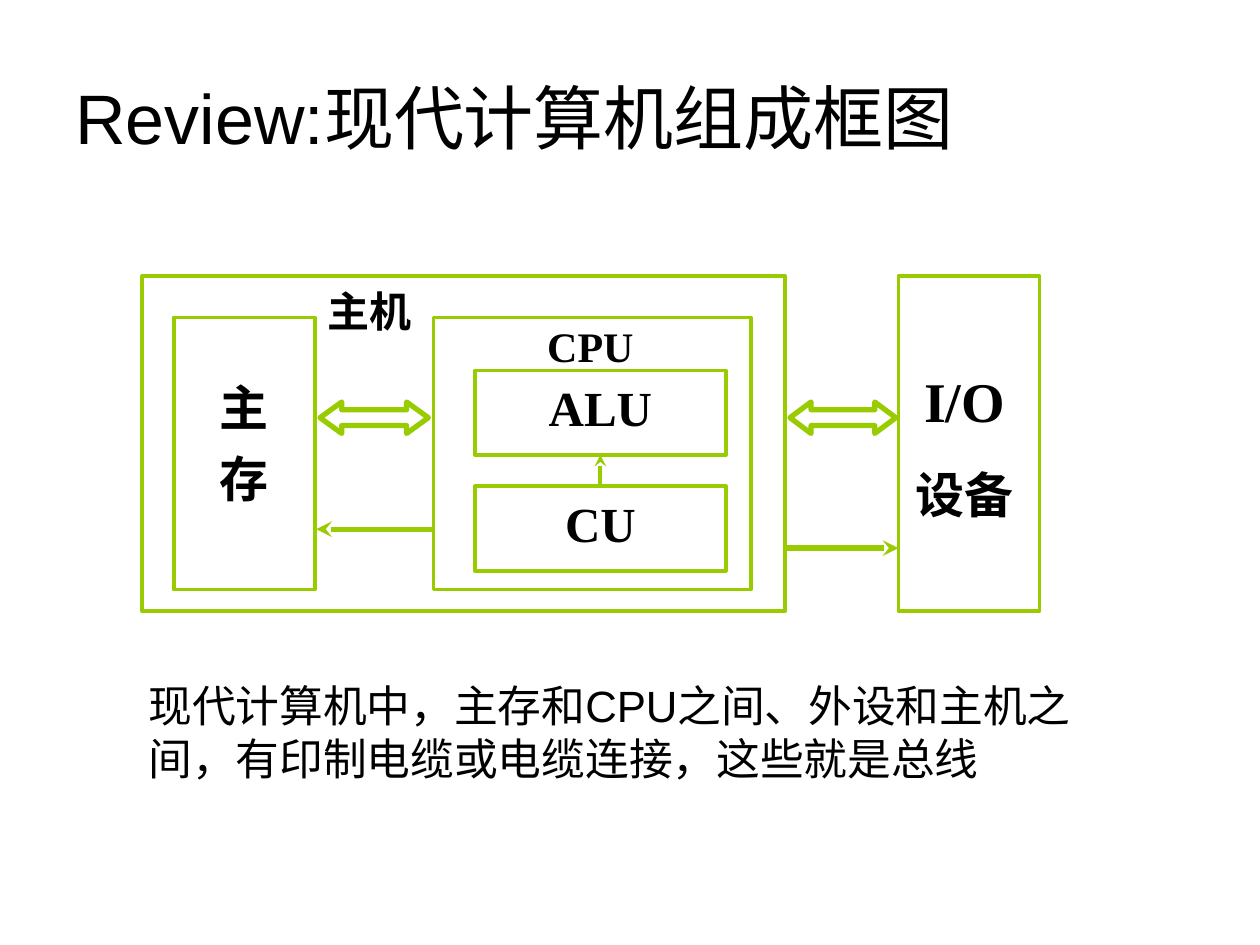
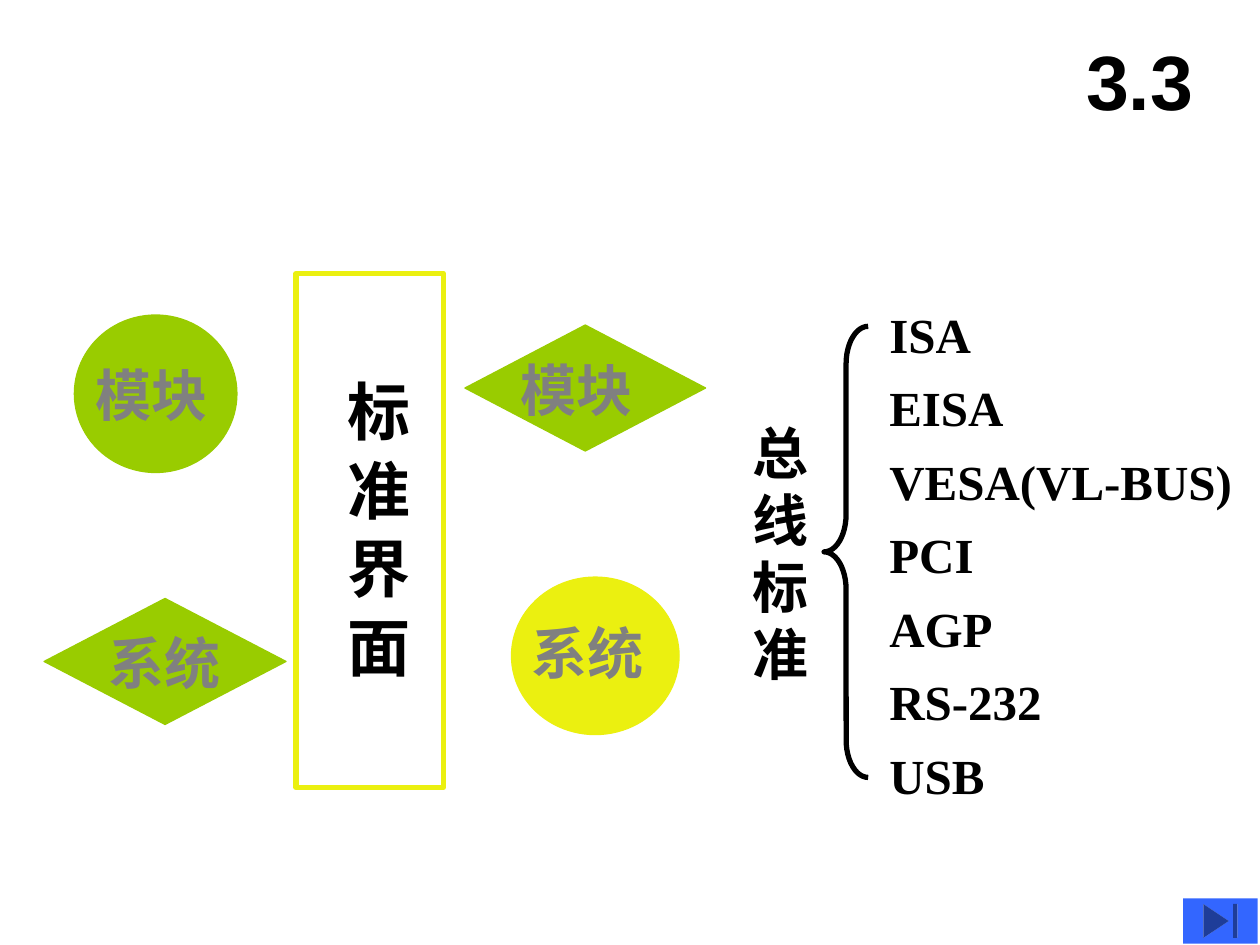
from dataclasses import dataclass

from lxml import etree
from pptx import Presentation
from pptx import util as u
from pptx.dml.color import RGBColor
from pptx.enum import shapes, text
from pptx.oxml.ns import qn

PX = u.Inches(1) // 100
COLOURS = {"ink": "000000", "green": "99CC00", "yellow": "EBF010", "grey": "808080", "blue": "3366FF"}
SANS, SERIF, HAN = "Arial", "Times New Roman", "Noto Sans CJK SC"
SHAPE = shapes.MSO_SHAPE
CENTER = text.PP_ALIGN.CENTER
LEFT = text.PP_ALIGN.LEFT
STANDARD_INSET = (10, 5, 10, 5)
BLOCK_INSET = (10, 6, 10, 5)
NO_INSET = (0, 0, 0, 0)
TOP, BOTTOM = 0, 2

Area = tuple[int, int, int, int]


@dataclass(frozen=True)
class Label:
    area: Area
    lines: tuple[str, ...]
    sizes: tuple[float, ...]
    font: str = SERIF
    colour: str = "ink"
    bold: bool = True
    align: text.PP_ALIGN = LEFT
    inset: Area = STANDARD_INSET
    wrap: bool = True
    middle: bool = False
    gap: float = 0
    spacing: float = 1.0
    vertical: bool = False


@dataclass(frozen=True)
class Figure:
    kind: SHAPE
    area: Area
    line: str | None = "green"
    weight: float = 2.13
    fill: str | None = None
    adjustments: tuple[float, ...] = ()


@dataclass(frozen=True)
class Arrow:
    start: tuple[int, int]
    end: tuple[int, int]
    weight: float = 3


def colour_of(name: str) -> RGBColor:
    return RGBColor.from_string(COLOURS[name])


def scaled(lengths: tuple[int, ...]) -> list[int]:
    return [length * PX for length in lengths]


def draw_label(page, label: Label):
    box = page.shapes.add_textbox(*scaled(label.area))
    frame = box.text_frame
    frame.word_wrap = label.wrap
    frame.margin_left, frame.margin_top, frame.margin_right, frame.margin_bottom = scaled(label.inset)
    frame.vertical_anchor = text.MSO_ANCHOR.MIDDLE if label.middle else text.MSO_ANCHOR.TOP
    if label.vertical:
        box.element.txBody.bodyPr.set("vert", "eaVert")
    for index, line in enumerate(label.lines):
        para = frame.add_paragraph() if index else frame.paragraphs[0]
        para.text = line
        para.alignment = label.align
        para.line_spacing = label.spacing
        if index and label.gap:
            para.space_before = u.Pt(label.gap)
        font = para.font
        font.name = label.font
        font.size = u.Pt(label.sizes[min(index, len(label.sizes) - 1)])
        font.bold = label.bold
        font.color.rgb = colour_of(label.colour)
        defaults = para._p.pPr.find(qn("a:defRPr"))
        etree.SubElement(defaults, qn("a:ea")).set("typeface", HAN)
    return box


def draw_figure(page, figure: Figure):
    shape = page.shapes.add_shape(figure.kind, *scaled(figure.area))
    shape.shadow.inherit = False
    for index, value in enumerate(figure.adjustments):
        shape.adjustments[index] = value
    if figure.fill:
        shape.fill.solid()
        shape.fill.fore_color.rgb = colour_of(figure.fill)
    else:
        shape.fill.background()
    if figure.line:
        shape.line.color.rgb = colour_of(figure.line)
        shape.line.width = u.Pt(figure.weight)
    else:
        shape.line.fill.background()
    return shape


def draw_arrow(page, arrow: Arrow):
    connector = page.shapes.add_connector(shapes.MSO_CONNECTOR.STRAIGHT, *scaled(arrow.start + arrow.end))
    connector.line.color.rgb = colour_of("green")
    connector.line.width = u.Pt(arrow.weight)
    etree.SubElement(connector.line._get_or_add_ln(), qn("a:tailEnd")).set("type", "stealth")
    etree.SubElement(connector.element.spPr, qn("a:effectLst"))
    return connector


def build_block_diagram(page) -> None:
    draw_label(page, Label((50, 30, 900, 125), ("Review:现代计算机组成框图",), (40,), SANS, bold=False, middle=True))
    for area in ((113, 219, 510, 266), (138, 252, 112, 216), (344, 252, 252, 216), (713, 219, 112, 266)):
        draw_figure(page, Figure(SHAPE.RECTANGLE, area))
    units = {}
    for name, top in (("ALU", 294), ("CU", 386)):
        area = (377, top, 199, 67)
        units[name] = draw_figure(page, Figure(SHAPE.RECTANGLE, area))
        draw_label(page, Label(area, (name,), (28,), align=CENTER, inset=BLOCK_INSET))
    for left, width, head in ((254, 86, 0.69), (627, 84, 0.67)):
        draw_figure(page, Figure(SHAPE.LEFT_RIGHT_ARROW, (left, 319, width, 25), weight=3, adjustments=(0.5, head)))
    control = draw_arrow(page, Arrow((476, 386), (476, 361), 2.25))
    control.begin_connect(units["CU"], TOP)
    control.end_connect(units["ALU"], BOTTOM)
    for arrow in (Arrow((623, 435), (713, 435)), Arrow((343, 420), (251, 420))):
        draw_arrow(page, arrow)
    for label in (
        Label((434, 254, 69, 40), ("CPU",), (24,), align=CENTER, inset=NO_INSET, wrap=False),
        Label((260, 227, 67, 40), ("主机",), (24,), HAN, inset=NO_INSET, wrap=False),
        Label((711, 286, 109, 135), ("I/O", "设备"), (32, 28), align=CENTER, gap=17.5),
        Label((164, 295, 59, 113), ("主", "存"), (28,), HAN, align=CENTER, wrap=False, gap=7),
        Label(
            (108, 534, 761, 94),
            ("现代计算机中，主存和CPU之间、外设和主机之间，有印制电缆或电缆连接，这些就是总线",),
            (25,), SANS, bold=False,
        ),
    ):
        draw_label(page, label)


def build_bus_standards(page) -> None:
    draw_label(page, Label((842, 17, 125, 92), ("3.3",), (44,), SANS, align=CENTER, middle=True))
    for kind, area, colour, name, label_area in (
        (SHAPE.OVAL, (59, 250, 129, 125), "green", "模块", (66, 281, 109, 64)),
        (SHAPE.OVAL, (406, 458, 133, 125), "yellow", "系统", (412, 486, 109, 64)),
        (SHAPE.DIAMOND, (35, 475, 192, 100), "green", "系统", (76, 494, 114, 64)),
        (SHAPE.DIAMOND, (369, 258, 191, 100), "green", "模块", (403, 277, 113, 64)),
    ):
        draw_figure(page, Figure(kind, area, colour, 0.75, colour))
        draw_label(page, Label(label_area, (name,), (32,), colour="grey", wrap=kind == SHAPE.DIAMOND))
    draw_figure(page, Figure(SHAPE.RECTANGLE, (235, 217, 117, 408), "yellow", 3))
    draw_label(page, Label(
        (254, 292, 80, 350), ("标 准 界 面",), (36,), align=CENTER, inset=(5, 10, 5, 10), vertical=True,
    ))
    draw_label(page, Label((587, 327, 59, 224), tuple("总线标准"), (32,)))
    draw_figure(page, Figure(SHAPE.LEFT_BRACE, (654, 259, 35, 358), "ink", 3, adjustments=(0.85, 0.5)))
    standards = ("ISA", "EISA", "VESA(VL-BUS)", "PCI", "AGP", "RS-232", "USB")
    draw_label(page, Label((696, 225, 349, 419), standards, (28,), spacing=1.25))
    draw_figure(page, Figure(SHAPE.ACTION_BUTTON_END, (939, 713, 59, 36), line=None, fill="blue"))


def main() -> None:
    deck = Presentation()
    deck.slide_width, deck.slide_height = scaled((1000, 750))
    for build in (build_block_diagram, build_bus_standards):
        build(deck.slides.add_slide(deck.slide_layouts[6]))
    deck.save("out.pptx")


if __name__ == "__main__":
    main()
